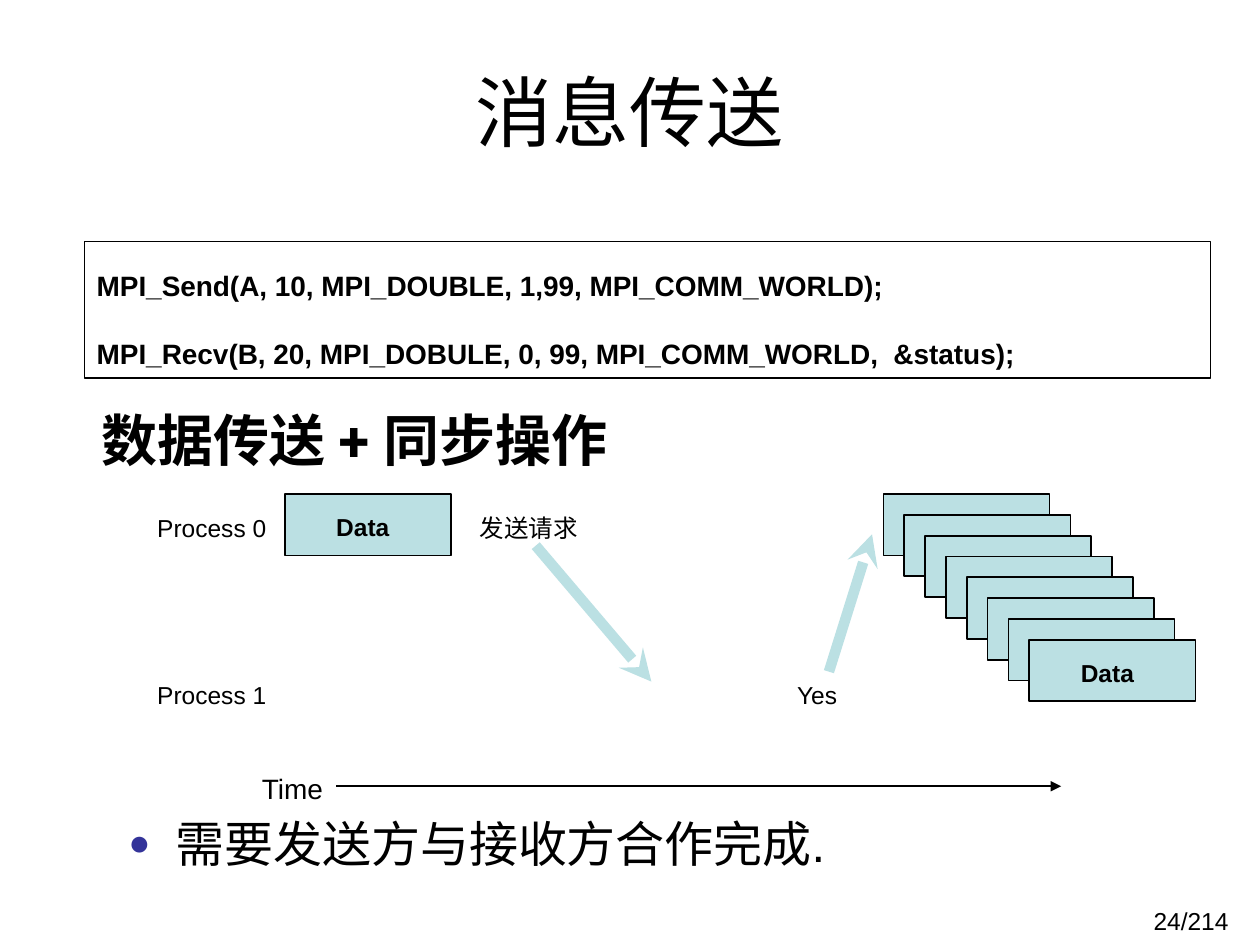
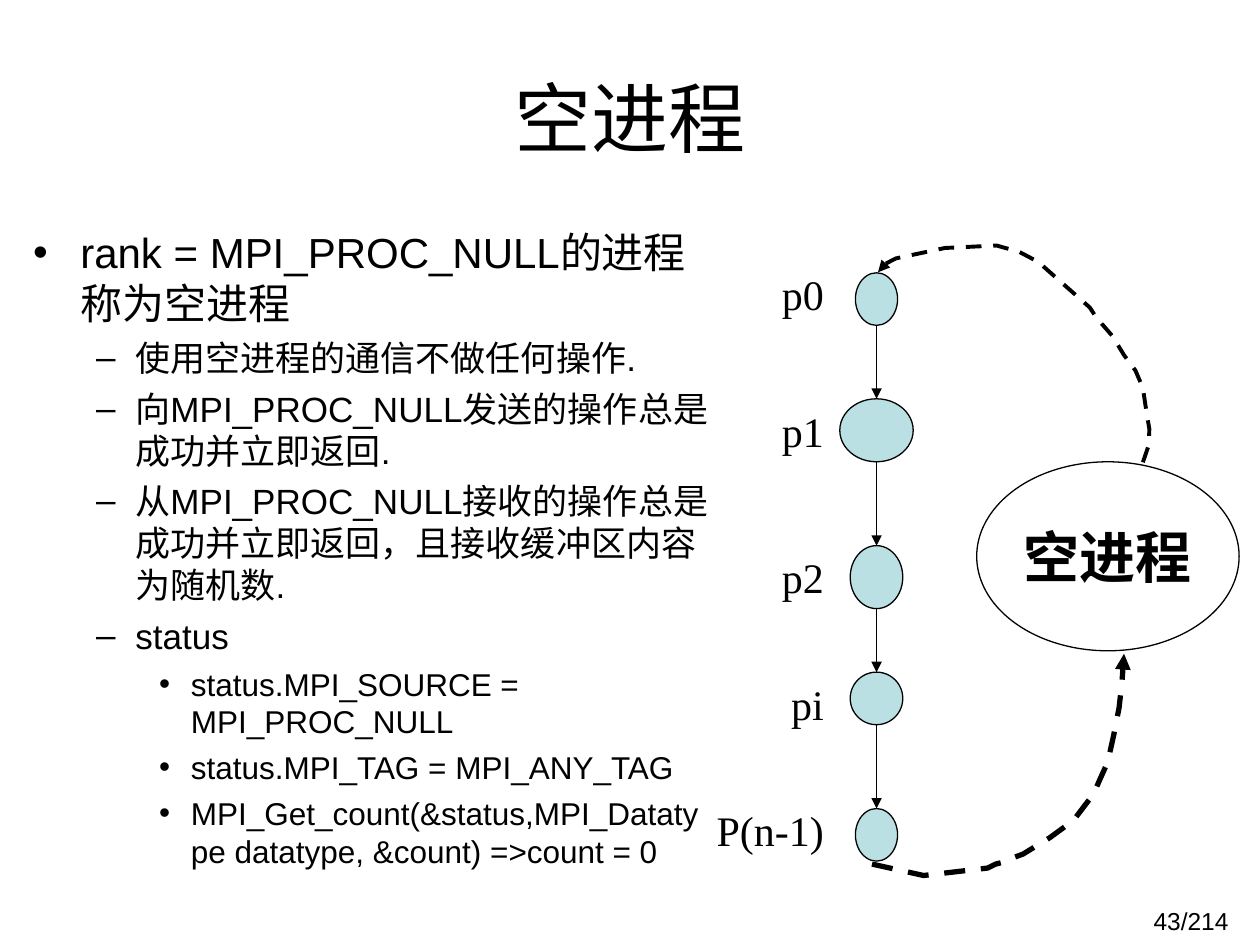
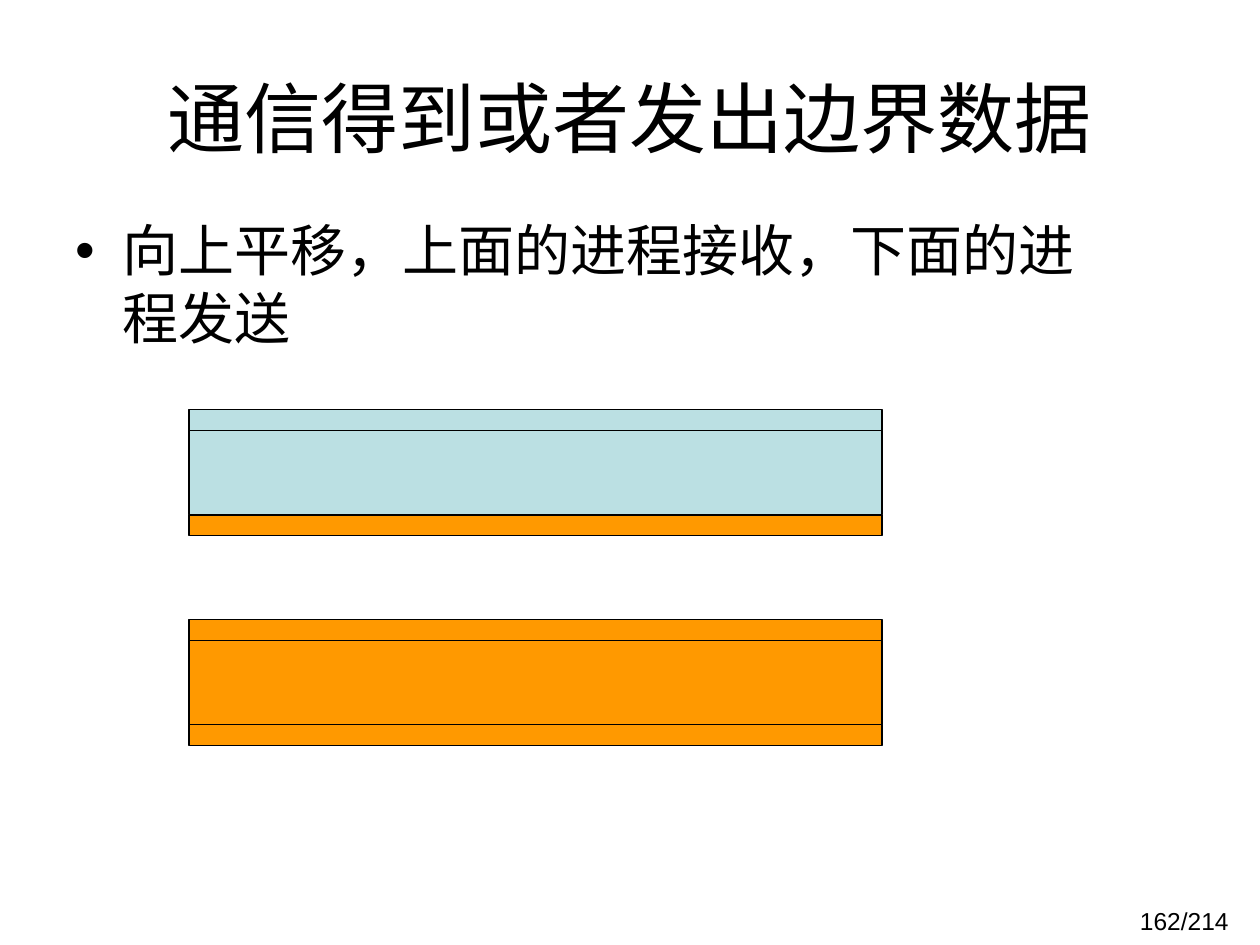
from dataclasses import dataclass
from typing import Optional

from lxml import etree
from pptx import Presentation
from pptx.dml.color import RGBColor
from pptx.enum.dml import MSO_LINE
from pptx.enum.shapes import MSO_CONNECTOR, MSO_SHAPE
from pptx.enum.text import MSO_ANCHOR, MSO_AUTO_SIZE, PP_ALIGN
from pptx.oxml.ns import qn
from pptx.util import Cm, Pt

RECT, OVAL = MSO_SHAPE.RECTANGLE, MSO_SHAPE.OVAL
STRAIGHT, DASH = MSO_CONNECTOR.STRAIGHT, MSO_LINE.DASH
LEFT, CENTER, RIGHT = PP_ALIGN.LEFT, PP_ALIGN.CENTER, PP_ALIGN.RIGHT
TOP, MIDDLE = MSO_ANCHOR.TOP, MSO_ANCHOR.MIDDLE
FIT, NO_FIT = MSO_AUTO_SIZE.SHAPE_TO_FIT_TEXT, MSO_AUTO_SIZE.NONE

BLACK = RGBColor(0x00, 0x00, 0x00)
AQUA = RGBColor(0xBB, 0xE0, 0xE3)
ORANGE = RGBColor(0xFF, 0x99, 0x00)
INDIGO = RGBColor(0x33, 0x33, 0x99)

SANS, SERIF, HEAVY = "Arial", "Times New Roman", "Roboto"
SLIDE_W, SLIDE_H = 25.4, 19.05
PAGE_COUNT = 214


@dataclass(frozen=True)
class Box:
    """A rectangle in centimetres."""
    x: float
    y: float
    w: float
    h: float

    def emu(self) -> tuple:
        return Cm(self.x), Cm(self.y), Cm(self.w), Cm(self.h)


@dataclass(frozen=True)
class Bullet:
    char: str
    margin: float
    hang: float
    color: RGBColor = BLACK
    percent: int = 100


@dataclass(frozen=True)
class Level:
    bullet: Bullet
    size: float
    before: float


@dataclass(frozen=True)
class Node:
    label: str
    label_y: float
    y: float
    w: float
    h: float


DOT = Bullet("•", 0.95, 0.95)
LEVELS = [
    Level(DOT, 24, 6),
    Level(Bullet("–", 2.06, 0.79), 20, 5),
    Level(Bullet("•", 3.18, 0.64), 18, 4.5),
]


# Text helpers
def add_bullet(p, bullet: Bullet) -> None:
    pPr = p._p.get_or_add_pPr()
    pPr.set("marL", str(Cm(bullet.margin)))
    pPr.set("indent", str(-Cm(bullet.hang)))
    color = etree.SubElement(pPr, qn("a:buClr"))
    etree.SubElement(color, qn("a:srgbClr"), val=str(bullet.color))
    etree.SubElement(pPr, qn("a:buSzPct"), val=str(bullet.percent * 1000))
    etree.SubElement(pPr, qn("a:buFont"), typeface=SANS)
    etree.SubElement(pPr, qn("a:buChar"), char=bullet.char)


def write(tf, text: str, *, size: float, font: str = SANS, bold: bool = False,
          align=LEFT, before: float = 0, bullet: Optional[Bullet] = None) -> None:
    """Add one paragraph, using the empty first one if there is one."""
    p = tf.paragraphs[0] if not tf.text else tf.add_paragraph()
    p.alignment = align
    p.space_before = Pt(before)
    if bullet:
        add_bullet(p, bullet)
    r = p.add_run()
    r.text = text
    r.font.size, r.font.name, r.font.bold = Pt(size), font, bold
    r.font.color.rgb = BLACK


def add_frame(s, box: Box, *, wrap: bool = True, anchor=TOP):
    tf = s.shapes.add_textbox(*box.emu()).text_frame
    tf.word_wrap = wrap
    tf.auto_size = NO_FIT if wrap else FIT
    tf.vertical_anchor = anchor
    return tf


def add_label(s, box: Box, text: str, **style) -> None:
    write(add_frame(s, box, wrap=False), text, **style)


# Shape helpers
def add_panel(s, box: Box, *, kind=RECT, fill: Optional[RGBColor] = None,
              width: float = 0.75):
    sp = s.shapes.add_shape(kind, *box.emu())
    sp.shadow.inherit = False
    if fill is None:
        sp.fill.background()
    else:
        sp.fill.solid()
        sp.fill.fore_color.rgb = fill
    sp.line.color.rgb = BLACK
    sp.line.width = Pt(width)
    return sp


def add_head(shape, head: str) -> None:
    ln = shape.element.spPr.find(qn("a:ln"))
    etree.SubElement(ln, qn("a:tailEnd"), type=head)


def add_arrow(s, start: tuple, end: tuple, *, color: RGBColor = BLACK,
              width: float = 0.75, head: str = "triangle"):
    line = s.shapes.add_connector(STRAIGHT, *map(Cm, start + end))
    line.line.color.rgb = color
    line.line.width = Pt(width)
    add_head(line, head)
    etree.SubElement(line.element.spPr, qn("a:effectLst"))
    return line


def add_dashed_curve(s, points: list, width: float) -> None:
    start, *rest = [(Cm(x), Cm(y)) for x, y in points]
    builder = s.shapes.build_freeform(*start)
    builder.add_line_segments(rest, close=False)
    sp = builder.convert_to_shape()
    sp.shadow.inherit = False
    sp.fill.background()
    sp.line.color.rgb = BLACK
    sp.line.width = Pt(width)
    sp.line.dash_style = DASH
    add_head(sp, "triangle")


def new_slide(prs, title: str, page: int, title_y: float = 0.76):
    """Blank slide with the shared title and page number."""
    s = prs.slides.add_slide(prs.slide_layouts[6])
    tf = add_frame(s, Box(0, title_y, SLIDE_W, 3.18), anchor=MIDDLE)
    write(tf, title, size=44, align=CENTER)
    tf = add_frame(s, Box(19.1, 18.14, 5.92, 0.91))
    write(tf, f"{page}/{PAGE_COUNT}", size=14, align=RIGHT)
    return s


# Slide: message passing
def add_data_card(s, x: float, y: float) -> None:
    tf = add_panel(s, Box(x, y, 3.35, 1.24), fill=AQUA, width=1).text_frame
    tf.vertical_anchor = MIDDLE
    tf.margin_right = Cm(0.45)
    tf.margin_top = Cm(0.2)
    write(tf, "Data", size=14, bold=True, align=CENTER)


def message_slide(prs) -> None:
    s = new_slide(prs, "消息传送", 24, title_y=0.64)

    # Calls
    tf = add_panel(s, Box(1.7, 4.87, 22.71, 2.75)).text_frame
    tf.word_wrap = True
    tf.vertical_anchor = TOP
    tf.margin_top = Cm(0.54)
    write(tf, "MPI_Send(A, 10, MPI_DOUBLE, 1,99, MPI_COMM_WORLD);",
          size=16, bold=True)
    write(tf, "MPI_Recv(B, 20, MPI_DOBULE, 0, 99, MPI_COMM_WORLD,  &status);",
          size=16, bold=True, before=20)

    # Statements
    write(add_frame(s, Box(1.8, 8.05, 21.79, 1.7)), "数据传送 + 同步操作",
          size=32, font=HEAVY, bold=True, before=8)
    write(add_frame(s, Box(2.34, 16.28, 21.79, 1.47)),
          "需要发送方与接收方合作完成.", size=28, before=7,
          bullet=Bullet("●", 0.95, 0.95, INDIGO, 75))

    # Timeline
    for x, y, w, text, size in [
        (2.92, 10.21, 2.72, "Process 0", 14),
        (2.92, 13.59, 2.72, "Process 1", 14),
        (9.42, 10.21, 2.49, "发送请求", 14),
        (15.82, 13.59, 1.37, "Yes", 14),
        (5.03, 15.42, 1.75, "Time", 16),
    ]:
        add_label(s, Box(x, y, w, 0.85), text, size=size)
    add_arrow(s, (10.8, 11), (13.13, 13.74), color=AQUA, width=6, head="stealth")
    add_arrow(s, (16.71, 13.54), (17.58, 10.77), color=AQUA, width=6, head="stealth")
    add_arrow(s, (6.78, 15.85), (21.39, 15.85), width=1)

    # Data, one card sent and a cascade received
    add_data_card(s, 5.74, 9.96)
    step = 0.42
    for i in range(8):
        add_data_card(s, 17.81 + i * step, 9.96 + i * step)


# Slide: null process
NODES = [
    Node("p0", 5.29, 5.5, 0.85, 1.06),
    Node("p1", 8.04, 8.04, 1.48, 1.27),
    Node("p2", 11.0, 11.0, 1.06, 1.27),
    Node("pi", 13.55, 13.55, 1.06, 1.06),
    Node("P(n-1)", 16.09, 16.3, 0.85, 1.06),
]
NOTES = [
    (0, "rank = MPI_PROC_NULL的进程称为空进程"),
    (1, "使用空进程的通信不做任何操作."),
    (1, "向MPI_PROC_NULL发送的操作总是成功并立即返回."),
    (1, "从MPI_PROC_NULL接收的操作总是成功并立即返回，且接收缓冲区内容为随机数."),
    (1, "status"),
    (2, "status.MPI_SOURCE = MPI_PROC_NULL"),
    (2, "status.MPI_TAG = MPI_ANY_TAG"),
    (2, "MPI_Get_count(&status,MPI_Datatype datatype, &count) =>count = 0"),
]
LAST_TO_NULL = [
    (17.58, 17.42), (18.62, 17.65), (19.91, 17.5), (20.07, 17.42),
    (20.27, 17.37), (20.4, 17.3), (20.62, 17.22), (21.16, 16.89),
    (21.64, 16.54), (22.05, 16), (22.17, 15.72), (22.33, 15.37),
    (22.45, 14.83), (22.56, 14.27), (22.62, 13.73), (22.66, 13.18),
]
NULL_TO_FIRST = [
    (23.04, 9.32), (23.16, 8.97), (23.17, 8.65), (23.11, 8.29),
    (23.04, 7.82), (22.89, 7.47), (22.66, 7.16), (22.43, 6.78),
    (22.1, 6.4), (21.97, 6.2), (21.62, 5.89), (20.93, 5.28),
    (20.55, 5.08), (20.09, 4.95), (19.05, 5), (18.06, 5.21),
    (17.83, 5.33), (17.7, 5.49),
]


def null_process_slide(prs) -> None:
    s = new_slide(prs, "空进程", 43)

    # Notes
    tf = add_frame(s, Box(0.42, 4.45, 14.18, 13.55))
    for depth, text in NOTES:
        level = LEVELS[depth]
        write(tf, text, size=level.size, before=level.before, bullet=level.bullet)

    # Chain of processes
    axis = 17.67
    above = None
    for node in NODES:
        oval = add_panel(s, Box(axis - node.w / 2, node.y, node.w, node.h),
                         kind=OVAL, fill=AQUA)
        add_label(s, Box(13.81, node.label_y, 3.05, 1.27), node.label,
                  size=24, font=SERIF, align=RIGHT)
        if above:
            arrow = add_arrow(s, (axis, above.y + above.h), (axis, node.y))
            arrow.end_connect(oval, 0)
        above = node

    # Null process closing the ring
    tf = add_panel(s, Box(19.69, 9.31, 5.29, 3.81), kind=OVAL).text_frame
    tf.word_wrap = False
    tf.vertical_anchor = MIDDLE
    write(tf, "空进程", size=32, font=SERIF, bold=True, align=CENTER)
    add_dashed_curve(s, LAST_TO_NULL, 3)
    add_dashed_curve(s, NULL_TO_FIRST, 2.25)


# Slide: boundary exchange
def boundary_slide(prs) -> None:
    s = new_slide(prs, "通信得到或者发出边界数据", 162)
    write(add_frame(s, Box(1.27, 4.23, 21.59, 3.39)),
          "向上平移，上面的进程接收，下面的进程发送",
          size=32, before=8, bullet=DOT)

    edge, core = 0.42, 1.7
    for top, fills in [(8.26, (AQUA, AQUA, ORANGE)), (12.49, (ORANGE,) * 3)]:
        y = top
        for h, fill in zip((edge, core, edge), fills):
            add_panel(s, Box(3.81, y, 13.97, h), fill=fill)
            y += h


def main() -> None:
    prs = Presentation()
    prs.slide_width, prs.slide_height = Cm(SLIDE_W), Cm(SLIDE_H)
    message_slide(prs)
    null_process_slide(prs)
    boundary_slide(prs)
    prs.save("out.pptx")


if __name__ == "__main__":
    main()
